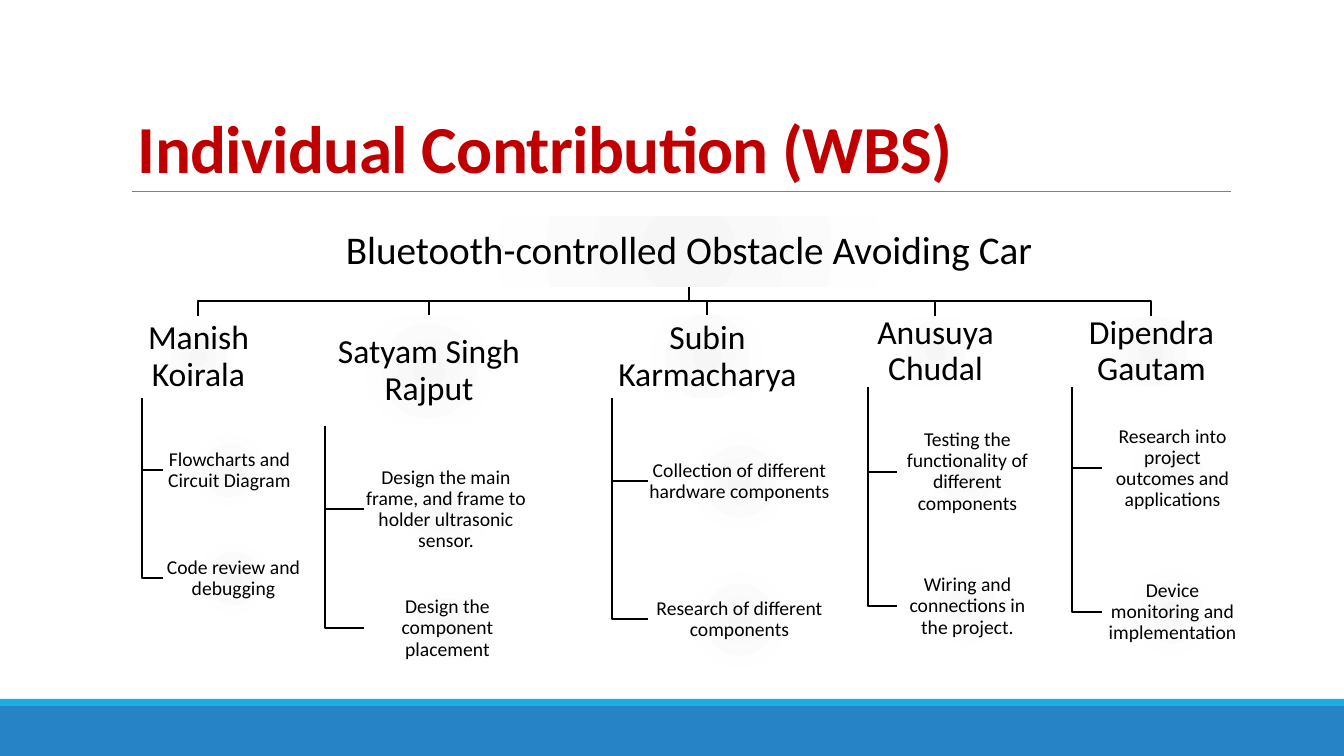
"""Build the work breakdown slide: project, members and their tasks."""
from lxml import etree
from pptx import Presentation
from pptx.dml.color import RGBColor
from pptx.enum import shapes, text
from pptx.oxml import ns, parse_xml
from pptx.util import Pt

PX = 914400 / 100.8
GAP = 29
PROJECT = (267, 216, 844, 71)
GLOW = f"""<a:gradFill {ns.nsdecls('a')} rotWithShape="1"><a:gsLst>
<a:gs pos="0"><a:srgbClr val="F6F6F6"/></a:gs>
<a:gs pos="45000"><a:srgbClr val="FEFEFE"/></a:gs>
<a:gs pos="100000"><a:srgbClr val="FFFFFF"/></a:gs></a:gsLst>
<a:path path="circle"><a:fillToRect l="100000" t="100000" r="100000" b="100000"/></a:path>
</a:gradFill>"""

# name, left, width, height, left of tasks, tasks as (wording, width, height)
MEMBERS = [
    ("Manish Koirala", 128, 141, 82, 163, [
        ("Flowcharts and Circuit Diagram", 133, 87),
        ("Code review and debugging", 141, 71)]),
    ("Satyam Singh Rajput", 299, 260, 110, 364, [
        ("Design the main frame, and frame to holder ultrasonic sensor.", 164, 109),
        ("Design the component placement", 167, 71)]),
    ("Subin Karmacharya", 589, 237, 82, 648, [
        ("Collection of different hardware components", 183, 109),
        ("Research of different components", 183, 109)]),
    ("Anusuya Chudal", 852, 167, 71, 897, [
        ("Testing the functionality of different components", 141, 112),
        ("Wiring and connections in the project.", 141, 99)]),
    ("Dipendra Gautam", 1053, 197, 71, 1102, [
        ("Research into project outcomes and applications", 141, 105),
        ("Device monitoring and implementation", 141, 124)]),
]


def color(code):
    return RGBColor.from_string(code)


def px(*lengths):
    return [round(length * PX) for length in lengths]


prs = Presentation()
prs.slide_width, prs.slide_height = px(1344, 756)
slide = prs.slides.add_slide(prs.slide_layouts[6])

for top, height, shade in [(706, 50, "2683C6"), (699, 7, "1CADE4")]:
    band = slide.shapes.add_shape(shapes.MSO_SHAPE.RECTANGLE, *px(0, top, 1344, height))
    band.shadow.inherit = False
    band.fill.solid()
    band.fill.fore_color.rgb = color(shade)
    band.line.fill.background()

rule = slide.shapes.add_connector(shapes.MSO_CONNECTOR.STRAIGHT, *px(132, 191, 1231, 191))
rule.line.color.rgb = color("808080")
rule.line.width = Pt(0.5)
etree.SubElement(rule._element.spPr, ns.qn("a:effectLst"))

title = slide.shapes.add_textbox(*px(128, 96, 1099, 96))
title.text_frame.word_wrap = True
title.text_frame.vertical_anchor = text.MSO_ANCHOR.BOTTOM
title.text_frame.text = "Individual Contribution (WBS)"
heading = title.text_frame.paragraphs[0]
heading.line_spacing = 0.85
heading_run = heading.runs[0]
heading_run.font.name = "Calibri"
heading_run.font.size = Pt(48)
heading_run.font.bold = True
heading_run.font.color.rgb = color("C00000")
heading_run._r.get_or_add_rPr().set("spc", "-50")

project_x = PROJECT[0] + PROJECT[2] // 2
project_bottom = PROJECT[1] + PROJECT[3]
name_top = project_bottom + GAP
bus_y = project_bottom + GAP // 2
nodes = [("Bluetooth-controlled Obstacle Avoiding Car", 28, 2, PROJECT)]
branches = []
for name, left, width, height, task_left, tasks in MEMBERS:
    nodes.append((name, 24, 2, (left, name_top, width, height)))
    name_x = left + width // 2
    branches.append([(project_x, project_bottom), (project_x, bus_y),
                     (name_x, bus_y), (name_x, name_top)])
    stem_x = left + width // 10
    stem_top = name_top + height
    task_top = stem_top + GAP
    for task, task_width, task_height in tasks:
        nodes.append((task, 14, 1, (task_left, task_top, task_width, task_height)))
        task_y = task_top + task_height // 2
        branches.append([(stem_x, stem_top), (stem_x, task_y), (task_left, task_y)])
        task_top += task_height + GAP

for start, *bends in branches:
    outline = slide.shapes.build_freeform(*start, scale=PX)
    outline.add_line_segments(bends, close=False)
    branch = outline.convert_to_shape()
    branch.shadow.inherit = False
    branch.fill.background()
    branch.line.color.rgb = color("000000")
    branch.line.width = Pt(1.25)

for wording, size, inset, place in nodes:
    node = slide.shapes.add_shape(shapes.MSO_SHAPE.RECTANGLE, *px(*place))
    node.shadow.inherit = False
    node.fill.gradient()
    gradient = node._element.spPr.find(ns.qn("a:gradFill"))
    gradient.getparent().replace(gradient, parse_xml(GLOW))
    node.line.fill.background()
    frame = node.text_frame
    frame.word_wrap = True
    frame.vertical_anchor = text.MSO_ANCHOR.MIDDLE
    (frame.margin_left, frame.margin_top,
     frame.margin_right, frame.margin_bottom) = px(*[inset] * 4)
    frame.text = wording
    line = frame.paragraphs[0]
    line.alignment = text.PP_ALIGN.CENTER
    line.line_spacing = 0.9
    font = line.runs[0].font
    font.name = "Calibri"
    font.size = Pt(size)
    font.color.rgb = color("000000")

prs.save("out.pptx")
